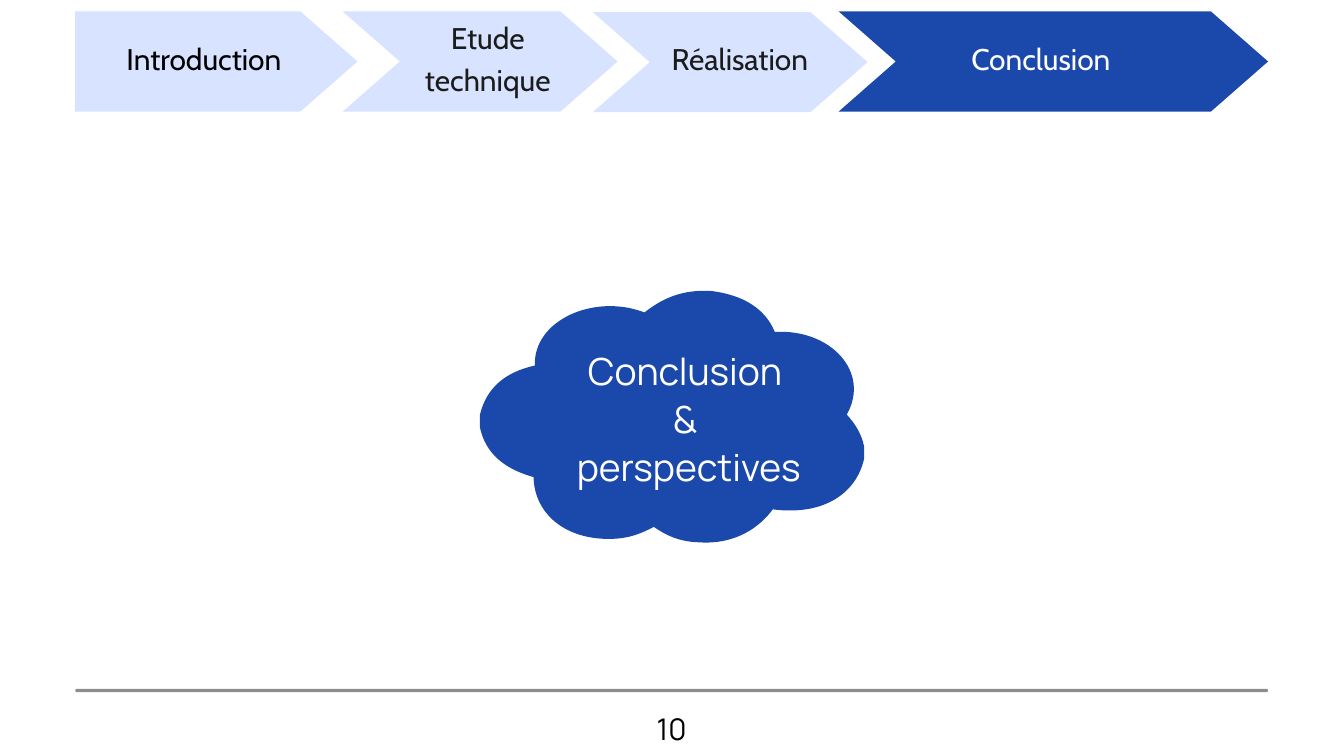
from pptx import Presentation
from pptx.dml.color import RGBColor
from pptx.enum.shapes import MSO_SHAPE
from pptx.enum.text import MSO_ANCHOR, MSO_AUTO_SIZE, PP_ALIGN
from pptx.oxml.ns import qn
from pptx.oxml.xmlchemy import OxmlElement
from pptx.util import Inches, Pt

BLUE = RGBColor(0x1B, 0x48, 0xAB)
PALE = RGBColor(0xD7, 0xE3, 0xFF)
GREY = RGBColor(0x8D, 0x8D, 0x8D)
WHITE = RGBColor(0xFF, 0xFF, 0xFF)
BLACK = RGBColor(0x00, 0x00, 0x00)
INK = RGBColor(0x1B, 0x1B, 0x1B)

COLS, ROWS = 20, 11.25
STEP_H, POINT_W = 1.49, 0.85
LABEL_TOP, LABEL_H = -0.29, 2.24

CONCLUSION = (MSO_SHAPE.CHEVRON, 12.48, 0.17, 6.39, BLUE, "Conclusion", 14.33, 2.32, WHITE)
OTHER_STEPS = [
    (MSO_SHAPE.PENTAGON, 1.12, 0.17, 4.2, PALE, "Introduction", 1.28, 3.51, BLACK),
    (MSO_SHAPE.CHEVRON, 5.1, 0.17, 4.09, PALE, "Etude technique", 6.1, 2.32, INK),
    (MSO_SHAPE.CHEVRON, 8.82, 0.18, 4.09, PALE, "Réalisation", 9.85, 2.32, INK),
]

CLOUD_START = (10.39, 4.33)
CLOUD_CURVES = [
    ((10.45, 4.33), (10.51, 4.33), (10.58, 4.33)),
    ((11.07, 4.39), (11.39, 4.6), (11.53, 4.94)),
    ((12.36, 4.89), (12.96, 5.54), (12.6, 6.17)),
    ((12.72, 6.3), (12.82, 6.45), (12.86, 6.65)),
    ((12.86, 6.71), (12.86, 6.77), (12.86, 6.82)),
    ((12.75, 7.33), (12.27, 7.68), (11.5, 7.58)),
    ((11.3, 7.85), (10.94, 8.11), (10.39, 8.07)),
    ((10.1, 8.06), (9.9, 7.96), (9.73, 7.84)),
    ((9.54, 7.94), (9.35, 8.02), (9.06, 8.02)),
    ((8.39, 8.02), (7.95, 7.63), (7.94, 7.1)),
    ((7.51, 6.98), (7.22, 6.75), (7.14, 6.35)),
    ((7.14, 6.29), (7.14, 6.24), (7.14, 6.18)),
    ((7.23, 5.79), (7.5, 5.54), (7.96, 5.44)),
    ((7.93, 4.77), (8.84, 4.36), (9.59, 4.65)),
    ((9.77, 4.51), (10.02, 4.35), (10.39, 4.33)),
]


def write(tf, lines, *, font, size, color, leading, inset=0.06, anchor=MSO_ANCHOR.MIDDLE):
    tf.word_wrap = True
    tf.auto_size = MSO_AUTO_SIZE.NONE
    tf.vertical_anchor = anchor
    tf.margin_left = tf.margin_right = tf.margin_top = tf.margin_bottom = Inches(inset)
    for i, line in enumerate(lines):
        p = tf.add_paragraph() if i else tf.paragraphs[0]
        p.alignment = PP_ALIGN.CENTER
        p.line_spacing = Pt(leading)
        p.space_before = p.space_after = Pt(0)
        r = p.add_run()
        r.text = line
        r.font.name = font
        r.font.size = Pt(size)
        r.font.color.rgb = color


def bend(sp):
    lines = list(sp.element.iter(qn("a:lnTo")))
    for i in range(0, len(lines), 3):
        curve = OxmlElement("a:cubicBezTo")
        lines[i].addprevious(curve)
        for line in lines[i:i + 3]:
            curve.append(line[0])
            line.getparent().remove(line)


class Deck:
    heading_font = "Manrope"
    label_font = "Cabin"

    def __init__(self):
        self.prs = Presentation()
        self.prs.slide_width = Inches(20)
        self.prs.slide_height = Inches(11.25)
        self.slide = self.prs.slides.add_slide(self.prs.slide_layouts[5])

    def at(self, x, y):
        return (round(self.prs.slide_width * x / COLS),
                round(self.prs.slide_height * y / ROWS))

    def paint(self, sp, fill):
        sp.shadow.inherit = False
        sp.fill.solid()
        sp.fill.fore_color.rgb = fill
        sp.line.fill.background()

    def shape(self, kind, x, y, w, h, fill, adjust):
        sp = self.slide.shapes.add_shape(kind, *self.at(x, y), *self.at(w, h))
        sp.adjustments[0] = adjust
        self.paint(sp, fill)

    def outline(self, start, curves, fill):
        builder = self.slide.shapes.build_freeform(*self.at(*start))
        builder.add_line_segments(
            [self.at(*point) for curve in curves for point in curve], close=True)
        sp = builder.convert_to_shape()
        bend(sp)
        self.paint(sp, fill)

    def text(self, x, y, w, h, line, **style):
        sp = self.slide.shapes.add_textbox(*self.at(x, y), *self.at(w, h))
        write(sp.text_frame, [line], size=32, leading=44.8, **style)

    def title(self, x, y, w, h, lines, color):
        sp = self.slide.shapes.title
        sp.left, sp.top = self.at(x, y)
        sp.width, sp.height = self.at(w, h)
        write(sp.text_frame, lines, font=self.heading_font, size=40,
              color=color, leading=51.6)
        self.slide.shapes.element.append(sp.element)

    def step(self, kind, x, y, w, fill, label, label_x, label_w, color):
        self.shape(kind, x, y, w, STEP_H, fill, POINT_W / STEP_H)
        self.text(label_x, LABEL_TOP, label_w, LABEL_H, label,
                  font=self.label_font, color=color)


def main():
    deck = Deck()
    deck.step(*CONCLUSION)
    deck.shape(MSO_SHAPE.ROUNDED_RECTANGLE, 1.12, 10.25, 17.75, 0.05, GREY, 0.5)
    deck.text(9.62, 10.49, 0.75, 0.6, "10", font=deck.heading_font, color=BLACK,
              inset=0, anchor=MSO_ANCHOR.TOP)
    deck.outline(CLOUD_START, CLOUD_CURVES, BLUE)
    deck.title(7.66, 4.77, 5.18, 2.86, ["Conclusion ", "& ", "perspectives"], WHITE)
    for step in OTHER_STEPS:
        deck.step(*step)
    deck.prs.save("out.pptx")


if __name__ == "__main__":
    main()
